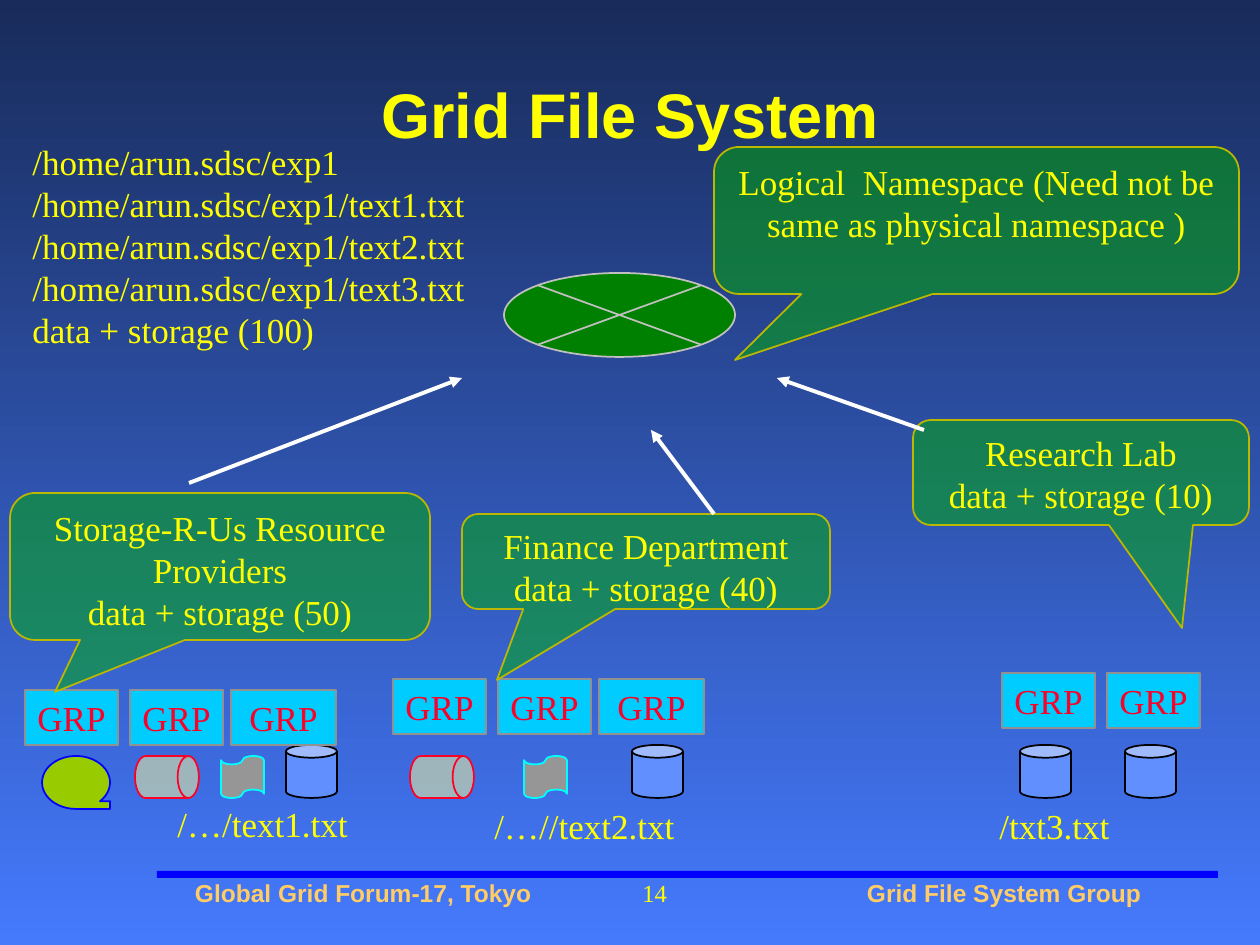
"""Build the Grid File System slide: a logical namespace over three storage providers."""
import pptx
import pptx.dml.color
import pptx.enum.shapes
import pptx.enum.text
import pptx.oxml
import pptx.oxml.ns
import pptx.util

EMU_PER_PX = 914400 / 126
SHAPE = pptx.enum.shapes.MSO_SHAPE
ALIGN = pptx.enum.text.PP_ALIGN
ANCHOR = pptx.enum.text.MSO_ANCHOR
SERIF = "Times New Roman"
SANS = "Arial"
COLORS = {
    "sky_top": "182B5A", "sky_bottom": "457AFD", "yellow": "FFFF00", "gold": "FFCC66",
    "blue": "0000FF", "cyan": "00FFFF", "red": "FC0128", "cream": "FFFF99",
    "lime": "99CC00", "gray": "969696", "can": "618FFD", "black": "000000",
    "grp": "00CCFF", "grp_line": "919191", "green": "008000", "silver": "C0C0C0",
    "callout": "00AE00", "olive": "BCB800", "white": "FFFFFF",
}
DEVICES = {
    "can": (SHAPE.CAN, 51, 53, "can", "black", None),
    "drum": (SHAPE.FLOWCHART_DIRECT_ACCESS_STORAGE, 64, 42, "cream", "red", 50),
    "tape": (SHAPE.FLOWCHART_SEQUENTIAL_ACCESS_STORAGE, 68, 53, "lime", "blue", None),
    "punched": (SHAPE.FLOWCHART_PUNCHED_TAPE, 43, 42, "gray", "cyan", None),
}


def px(value):
    return pptx.util.Emu(round(value * EMU_PER_PX))


def rgb(name):
    return pptx.dml.color.RGBColor.from_string(COLORS[name])


def add_xml(parent, tag, **attributes):
    child = pptx.oxml.parse_xml(f"<a:{tag} {pptx.oxml.ns.nsdecls('a')}/>")
    for key, value in attributes.items():
        child.set(key, value)
    parent.append(child)


def write(shape, lines, color, size=20, font=SERIF, bold=False, align=ALIGN.LEFT,
          anchor=ANCHOR.TOP, wrap=True):
    frame = shape.text_frame
    frame.word_wrap = wrap
    frame.vertical_anchor = anchor
    for index, line in enumerate(lines):
        para = frame.add_paragraph() if index else frame.paragraphs[0]
        para.alignment = align
        span = para.add_run()
        span.text = line
        span.font.name = font
        span.font.size = pptx.util.Pt(size)
        span.font.bold = bold
        span.font.color.rgb = rgb(color)
    return frame


def add_label(page, place, lines, color="yellow", **style):
    box = page.shapes.add_textbox(*map(px, place))
    return write(box, lines, color, **style)


def add_solid(page, kind, place, fill, line=None, opacity=None):
    shape = page.shapes.add_shape(kind, *map(px, place))
    shape.shadow.inherit = False
    shape.fill.solid()
    shape.fill.fore_color.rgb = rgb(fill)
    if opacity:
        solid = shape.fill._xPr.find(pptx.oxml.ns.qn("a:solidFill"))
        add_xml(solid[0], "alpha", val=str(opacity * 1000))
    if line:
        shape.line.color.rgb = rgb(line)
        shape.line.width = pptx.util.Pt(1)
    else:
        shape.line.fill.background()
    return shape


def add_device(page, name, left, top):
    kind, width, height, fill, line, opacity = DEVICES[name]
    add_solid(page, kind, (left, top, width, height), fill, line, opacity)


def add_grp(page, left, top, width):
    box = add_solid(page, SHAPE.RECTANGLE, (left, top, width, 55), "grp", "grp_line")
    write(box, ["GRP"], "red", align=ALIGN.CENTER, anchor=ANCHOR.MIDDLE, wrap=width > 93)


def add_callout(page, place, tip, lines):
    shape = add_solid(page, SHAPE.ROUNDED_RECTANGULAR_CALLOUT, place, "callout", "olive", 50)
    left, top, width, height = place
    shape.adjustments[0] = (tip[0] - left) / width - 0.5
    shape.adjustments[1] = (tip[1] - top) / height - 0.5
    shape.adjustments[2] = 0.17
    write(shape, lines, "yellow", align=ALIGN.CENTER)


def add_arrow(page, start, end):
    arrow = page.shapes.add_connector(
        pptx.enum.shapes.MSO_CONNECTOR.STRAIGHT, *map(px, start + end))
    arrow.line.color.rgb = rgb("white")
    arrow.line.width = pptx.util.Pt(2.25)
    add_xml(arrow.line._get_or_add_ln(), "tailEnd", type="triangle")
    add_xml(arrow._element.spPr, "effectLst")


def paint_background(page):
    fill = page.background.fill
    fill.gradient()
    fill.gradient_angle = 270
    for stop, name, position in zip(fill.gradient_stops, ("sky_top", "sky_bottom"), (0, 1)):
        stop.color.rgb = rgb(name)
        stop.position = position


def add_footer(page):
    add_solid(page, SHAPE.RECTANGLE, (157, 871, 1061, 7), "blue")
    add_label(page, (630, 872, 63, 43), ["14"], size=14)
    for left, line in ((189, "Global Grid Forum-17, Tokyo"), (861, "Grid File System Group")):
        frame = add_label(page, (left, 872, 368, 42), [line], "gold",
                          size=14, font=SANS, bold=True)
        frame.margin_left = px(6)


def add_storage(page):
    devices = (
        ("can", 286, 745), ("drum", 135, 756), ("tape", 42, 756), ("punched", 221, 756),
        ("can", 632, 745), ("drum", 410, 756), ("punched", 524, 756),
        ("can", 1020, 745), ("can", 1125, 745),
    )
    for name, left, top in devices:
        add_device(page, name, left, top)
    for left, top, wide in ((25, 690, True), (393, 679, True), (1002, 673, False)):
        for offset in (0, 105):
            add_grp(page, left + offset, top, 93)
        if wide:
            add_grp(page, left + 206, top, 105)
    add_label(page, (165, 796, 206, 55), ["/…/text1.txt"])
    add_label(page, (482, 798, 216, 55), ["/…//text2.txt"])
    add_label(page, (987, 798, 146, 55), ["/txt3.txt"])


def main():
    deck = pptx.Presentation()
    deck.slide_width, deck.slide_height = px(1260), px(945)
    page = deck.slides.add_slide(deck.slide_layouts[6])
    paint_background(page)
    add_footer(page)
    add_label(page, (21, 42, 1218, 143), ["Grid File System"], size=36, font=SANS,
              bold=True, align=ALIGN.CENTER, anchor=ANCHOR.MIDDLE)
    add_storage(page)
    add_solid(page, SHAPE.FLOWCHART_SUMMING_JUNCTION, (504, 273, 231, 84), "green", "silver")
    add_callout(page, (10, 493, 420, 147), (55, 692),
                ["Storage-R-Us Resource Providers", "data + storage (50)"])
    add_callout(page, (462, 514, 368, 95), (497, 680),
                ["Finance Department", "data + storage (40)"])
    add_callout(page, (913, 420, 336, 105), (1182, 628),
                ["Research Lab", "data + storage (10)"])
    folder = "/home/arun.sdsc/exp1"
    files = [f"{folder}/text{number}.txt" for number in (1, 2, 3)]
    add_label(page, (20, 134, 470, 223), [folder, *files, "data + storage (100)"])
    for start, end in (((189, 483), (462, 378)), ((714, 514), (651, 430)),
                       ((924, 430), (777, 378))):
        add_arrow(page, start, end)
    add_callout(page, (714, 147, 525, 147), (735, 360),
                ["Logical  Namespace (Need not be same as physical namespace )"])
    deck.save("out.pptx")


if __name__ == "__main__":
    main()
